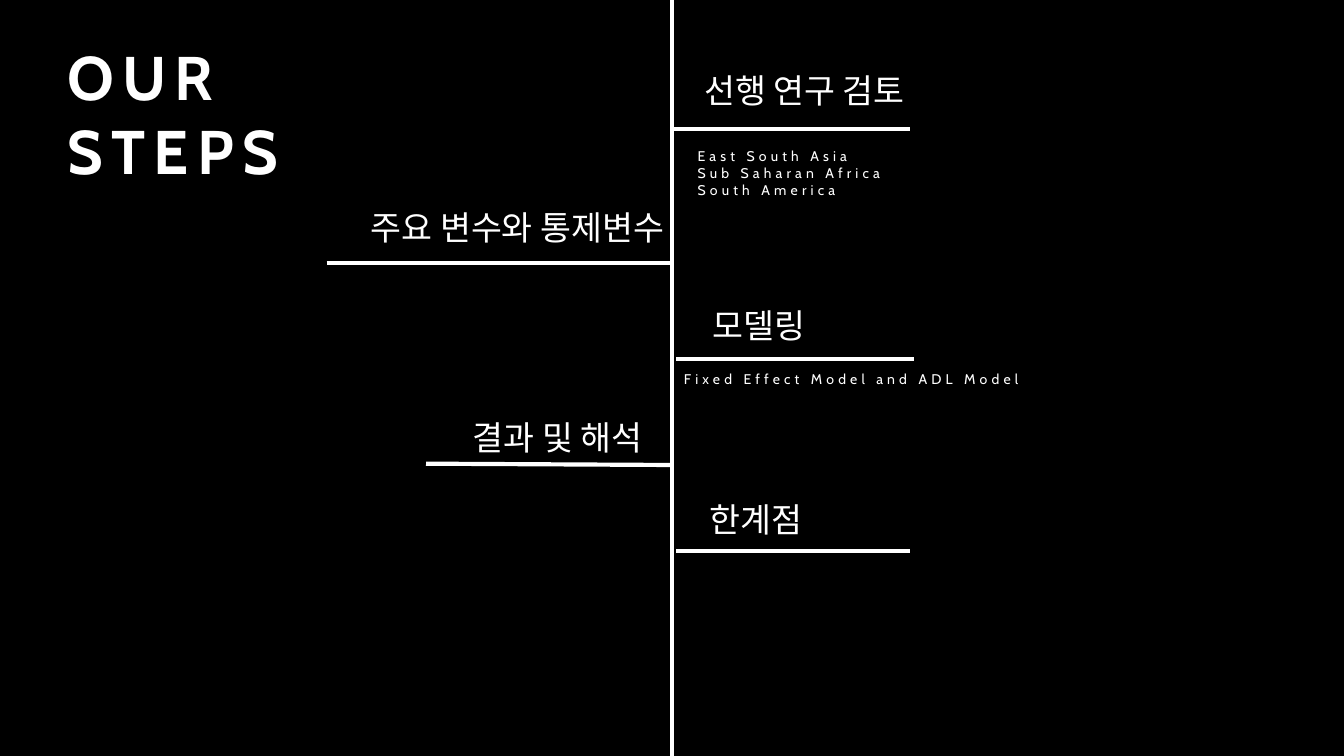
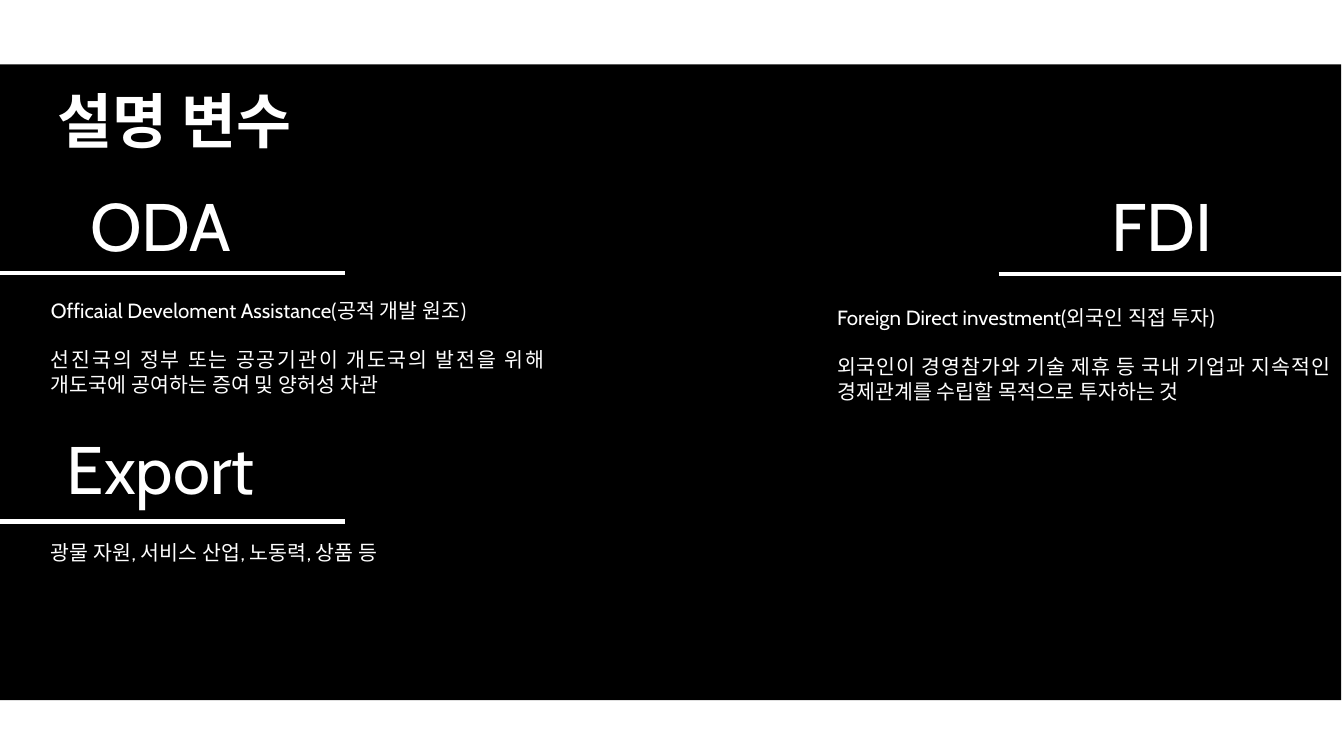
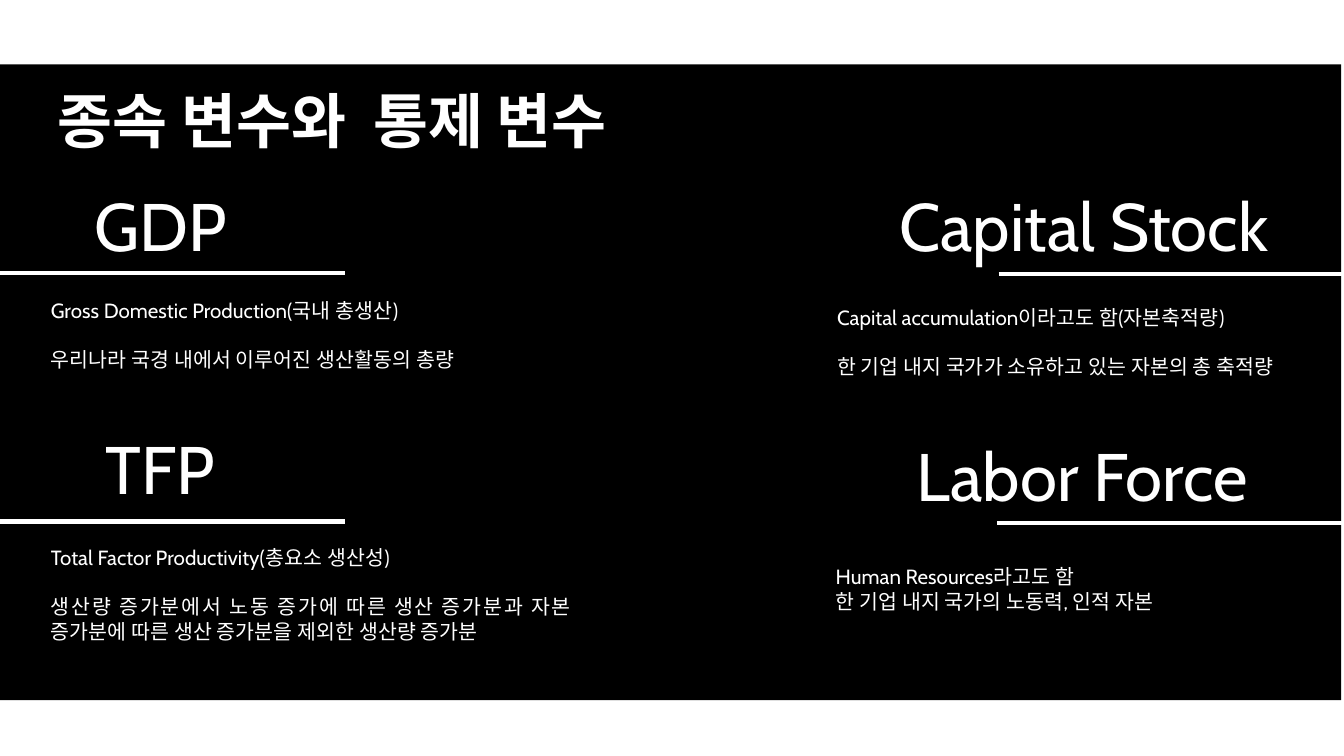
from dataclasses import dataclass

from lxml.etree import SubElement
from pptx import Presentation
from pptx.dml.color import RGBColor
from pptx.enum.shapes import MSO_CONNECTOR as Connector, MSO_SHAPE as Preset
from pptx.enum.text import MSO_ANCHOR as Anchor, MSO_AUTO_SIZE as AutoSize, PP_ALIGN as Align
from pptx.oxml.ns import qn
from pptx.util import Inches, Pt


@dataclass(frozen=True)
class TextStyle:
    size: float
    align: Align = Align.LEFT
    bold: bool = False
    tracking: float = 0
    gap: float = 0


@dataclass(frozen=True)
class Theme:
    font = "Cabin"
    ink = RGBColor(0xFF, 0xFF, 0xFF)
    panel = RGBColor(0x00, 0x00, 0x00)
    rule_width = Pt(2.25)
    cover_title = TextStyle(33, bold=True, tracking=4.5)
    title = TextStyle(32, Align.JUSTIFY, bold=True)
    heading = TextStyle(36, Align.CENTER)
    definition = TextStyle(11, Align.JUSTIFY, gap=13)
    compact = TextStyle(11, Align.JUSTIFY)
    detail = TextStyle(7.5, tracking=2.2)
    step_size = 18


THEME = Theme()
WIDTH = 10
HEIGHT = WIDTH * 9 / 16
PANEL = (-0.02, 0.48, WIDTH, 4.73)
RULE_LENGTH = 2.57


@dataclass(frozen=True)
class Concept:
    name: str
    heading_box: tuple
    rule_start: tuple
    lines: list
    note_box: tuple
    style: TextStyle = THEME.definition


def place(shape, box):
    shape.left, shape.top, shape.width, shape.height = map(Inches, box)


def write_text(shape, lines, style):
    frame = shape.text_frame
    frame.text = "\n".join(lines)
    frame.word_wrap = True
    frame.auto_size = AutoSize.SHAPE_TO_FIT_TEXT
    frame.vertical_anchor = Anchor.TOP
    for index, paragraph in enumerate(frame.paragraphs):
        paragraph.alignment = style.align
        paragraph.space_before = Pt(style.gap if index else 0)
        properties = paragraph._p.get_or_add_pPr()
        if shape.is_placeholder:
            properties.set("marL", "0")
            properties.set("indent", "0")
            SubElement(properties, qn("a:buNone"))
        font = paragraph.font
        font.name = THEME.font
        font.size = Pt(style.size)
        font.bold = style.bold
        font.color.rgb = THEME.ink
        defaults = properties.get_or_add_defRPr()
        SubElement(defaults, qn("a:ea"), typeface=THEME.font)
        if style.tracking:
            defaults.set("spc", str(round(style.tracking * 100)))


def add_text(slide, box, lines, style):
    write_text(slide.shapes.add_textbox(*map(Inches, box)), lines, style)


def add_rule(slide, start, end):
    rule = slide.shapes.add_connector(Connector.STRAIGHT, *map(Inches, start + end))
    rule.line.color.rgb = THEME.ink
    rule.line.width = THEME.rule_width
    SubElement(rule.element.spPr, qn("a:effectLst"))


def add_slide(presentation, layout, panel_box, title_box, title_lines, style):
    slide = presentation.slides.add_slide(presentation.slide_layouts.get_by_name(layout))
    panel = slide.shapes.add_shape(Preset.RECTANGLE, *map(Inches, panel_box))
    panel.shadow.inherit = False
    panel.fill.solid()
    panel.fill.fore_color.rgb = THEME.panel
    panel.line.fill.background()
    title = slide.shapes.title
    title.element.addprevious(panel.element)
    place(title, title_box)
    write_text(title, title_lines, style)
    return slide


def add_step(slide, name, align, box, rule_start, rule_end):
    add_text(slide, box, [name], TextStyle(THEME.step_size, align))
    add_rule(slide, rule_start, rule_end)


def add_concept(slide, concept):
    left, top = concept.rule_start
    add_text(slide, concept.heading_box, [concept.name], THEME.heading)
    add_rule(slide, (left, top), (left + RULE_LENGTH, top))
    add_text(slide, concept.note_box, concept.lines, concept.style)


def add_steps_slide(presentation):
    slide = add_slide(presentation, "Title and Content", (0, 0, WIDTH, HEIGHT),
                      (0.4, 0.24, 2.71, 1.21), ["OUR", "STEPS"], THEME.cover_title)
    add_rule(slide, (5, 0), (5, HEIGHT))
    steps = [
        ("선행 연구 검토", Align.RIGHT, (4.88, 0.47, 1.95, 0.4), (5, 0.96), (6.77, 0.96)),
        ("주요 변수와 통제변수", Align.RIGHT, (2.07, 1.49, 2.97, 0.4), (2.43, 1.96), (5, 1.96)),
        ("모델링", Align.CENTER, (4.67, 2.22, 1.95, 0.4), (5.03, 2.67), (6.8, 2.67)),
        ("결과 및 해석", Align.RIGHT, (3.11, 3.05, 1.77, 0.4), (3.17, 3.45), (4.99, 3.46)),
        ("한계점", Align.JUSTIFY, (5.18, 3.66, 1.77, 0.4), (5.03, 4.1), (6.77, 4.1)),
    ]
    for step in steps:
        add_step(slide, *step)
    regions = slide.placeholders[1]
    place(regions, (5.09, 1.05, 4.68, 0.48))
    write_text(regions, ["East South Asia", "Sub Saharan Africa", "South America"], THEME.detail)
    add_text(slide, (4.99, 2.71, 4.68, 0.23), ["Fixed Effect Model and ADL Model"], THEME.detail)


def add_concepts_slide(presentation, title, title_width, concepts):
    slide = add_slide(presentation, "Title Only", PANEL,
                      (0.33, 0.57, title_width, 0.64), [title], THEME.title)
    for concept in concepts:
        add_concept(slide, concept)


def main():
    presentation = Presentation()
    presentation.slide_width = Inches(WIDTH)
    presentation.slide_height = Inches(HEIGHT)

    upper_left, lower_left = (0.12, 1.32, 2.15, 0.71), (0.12, 3.13, 2.15, 0.71)
    upper_left_rule, lower_left_rule, upper_right_rule = (0, 2.03), (0, 3.88), (7.43, 2.04)

    add_steps_slide(presentation)
    add_concepts_slide(presentation, "설명 변수", 3.87, [
        Concept("ODA", upper_left, upper_left_rule,
                ["Officaial Develoment Assistance(공적 개발 원조)",
                 "선진국의 정부 또는 공공기관이 개도국의 발전을 위해 개도국에 공여하는 증여 및 양허성 차관"],
                (0.28, 2.17, 3.87, 0.84)),
        Concept("FDI", (7.57, 1.32, 2.15, 0.71), upper_right_rule,
                ["Foreign Direct investment(외국인 직접 투자)",
                 "외국인이 경영참가와 기술 제휴 등 국내 기업과 지속적인 경제관계를 수립할 목적으로 투자하는 것"],
                (6.13, 2.22, 3.87, 0.84)),
        Concept("Export", lower_left, lower_left_rule,
                ["광물 자원, 서비스 산업, 노동력, 상품 등"],
                (0.28, 3.97, 3.87, 0.29)),
    ])
    add_concepts_slide(presentation, "종속 변수와  통제 변수", 6.07, [
        Concept("GDP", upper_left, upper_left_rule,
                ["Gross Domestic Production(국내 총생산)",
                 "우리나라 국경 내에서 이루어진 생산활동의 총량"],
                (0.28, 2.17, 3.87, 0.66)),
        Concept("Capital Stock", (6.4, 1.32, 3.33, 0.71), upper_right_rule,
                ["Capital accumulation이라고도 함(자본축적량)",
                 "한 기업 내지 국가가 소유하고 있는 자본의 총 축적량"],
                (6.13, 2.22, 3.87, 0.66)),
        Concept("TFP", lower_left, lower_left_rule,
                ["Total Factor Productivity(총요소 생산성)",
                 "생산량 증가분에서 노동 증가에 따른 생산 증가분과 자본 증가분에 따른 생산 증가분을 제외한 생산량 증가분"],
                (0.28, 4.01, 4.07, 0.84)),
        Concept("Labor Force", (6.39, 3.18, 3.33, 0.71), (7.42, 3.89),
                ["Human Resources라고도 함", "한 기업 내지 국가의 노동력, 인적 자본"],
                (6.12, 4.15, 3.87, 0.47), THEME.compact),
    ])
    presentation.save("out.pptx")


if __name__ == "__main__":
    main()
